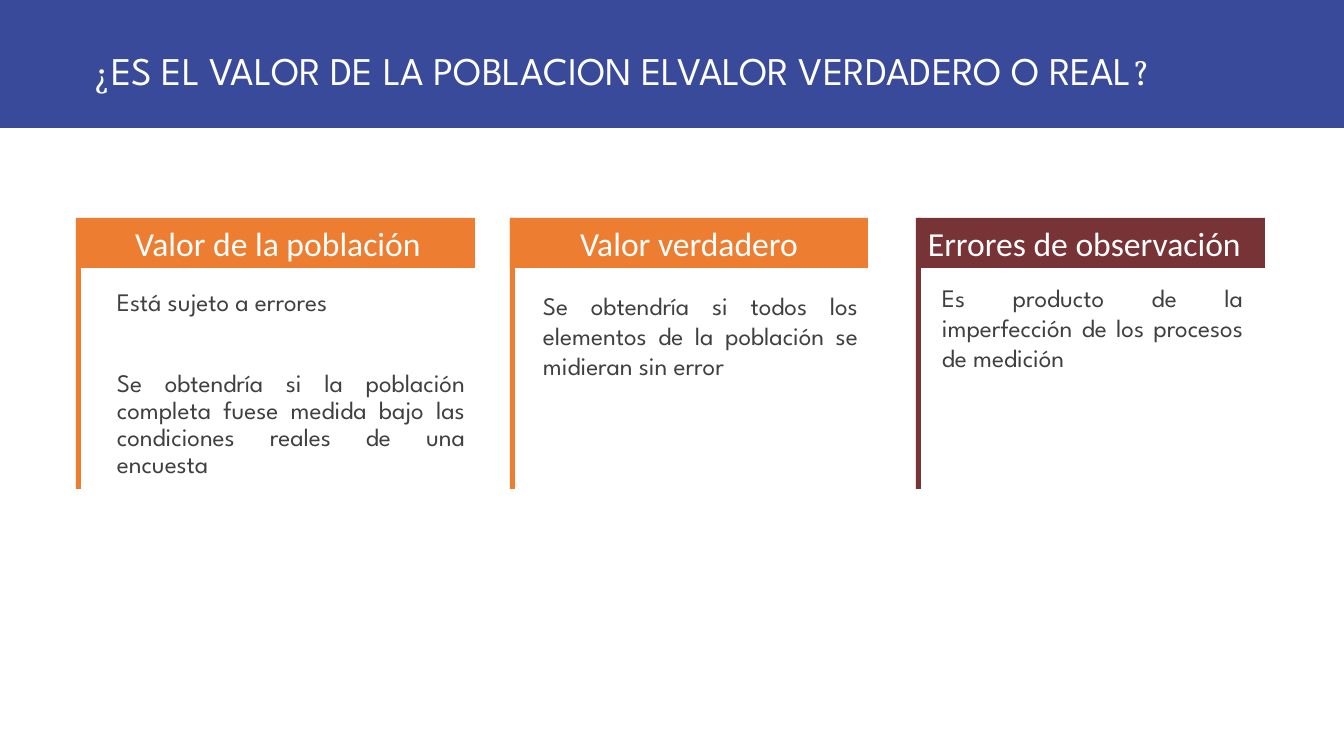
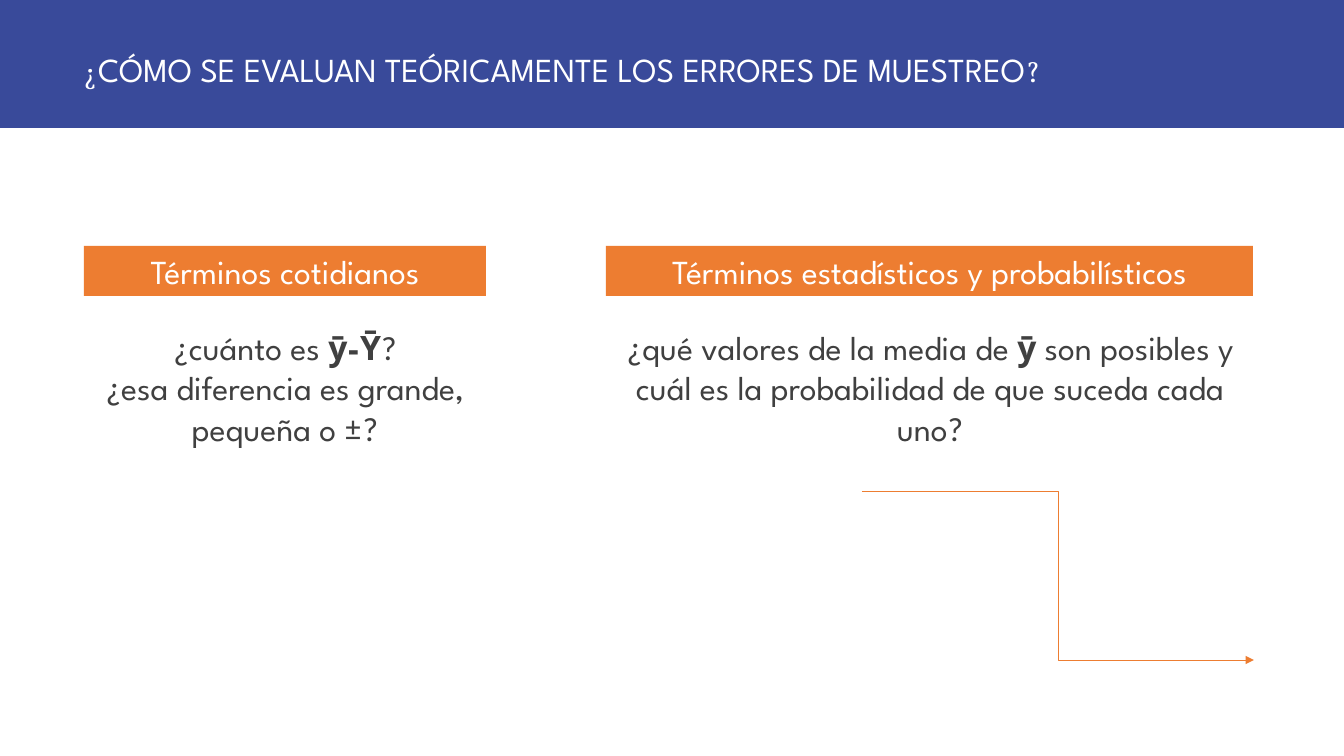
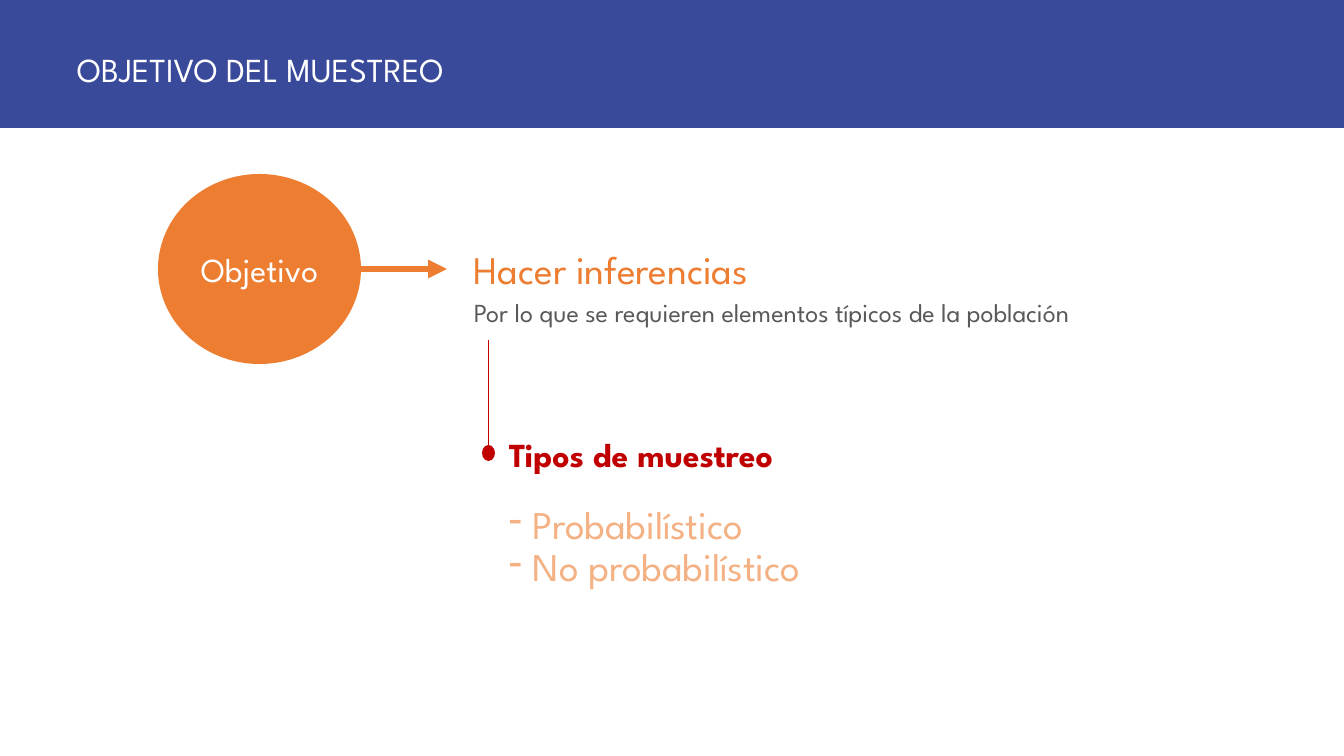
from lxml import etree
from pptx import Presentation
from pptx.dml.color import RGBColor
from pptx.enum.shapes import MSO_CONNECTOR, MSO_SHAPE
from pptx.enum.text import MSO_ANCHOR, MSO_AUTO_SIZE, PP_ALIGN
from pptx.oxml.ns import qn
from pptx.util import Emu, Pt

RECTANGLE, OVAL = MSO_SHAPE.RECTANGLE, MSO_SHAPE.OVAL
STRAIGHT, ELBOW = MSO_CONNECTOR.STRAIGHT, MSO_CONNECTOR.ELBOW
TOP, MIDDLE = MSO_ANCHOR.TOP, MSO_ANCHOR.MIDDLE
LEFT, CENTER, JUSTIFY = PP_ALIGN.LEFT, PP_ALIGN.CENTER, PP_ALIGN.JUSTIFY

BLUE = RGBColor(0x39, 0x4A, 0x9A)
ORANGE = RGBColor(0xED, 0x7D, 0x31)
PEACH = RGBColor(0xF4, 0xB1, 0x83)
MAROON = RGBColor(0x78, 0x33, 0x36)
RED = RGBColor(0xC0, 0x00, 0x00)
DARK_GRAY = RGBColor(0x40, 0x40, 0x40)
GRAY = RGBColor(0x59, 0x59, 0x59)
WHITE = RGBColor(0xFF, 0xFF, 0xFF)

SPARTAN, CALIBRI, VOLLKORN = "League Spartan", "Calibri", "Vollkorn"

SLIDE_WIDTH, SLIDE_HEIGHT, BAND_HEIGHT = 1344, 756, 128
HEADING_HEIGHT = 50

# A paragraph is a list of spans; a span is (text, format that differs).
POPULATION_TITLE = [
    ("¿", dict(font=VOLLKORN, size=24)),
    ("ES EL VALOR DE LA POBLACION ELVALOR VERDADERO O REAL", {}),
    ("?", dict(font=VOLLKORN, size=24)),
]
ERRORS_TITLE = [
    ("¿", dict(font=VOLLKORN, size=20)),
    ("CÓMO SE EVALUAN TEÓRICAMENTE LOS ERRORES DE MUESTREO", {}),
    ("?", dict(font=VOLLKORN, size=20)),
]
GOAL_TITLE = [("OBJETIVO DEL MUESTREO", {})]

VALUE_TOP, BAR_WIDTH, BAR_HEIGHT = 218, 5, 271
VALUE_COLUMNS = [
    dict(heading="Valor de la población", color=ORANGE, align=CENTER,
         bar_left=76, heading_left=81, heading_width=394,
         body_place=(107, 285, 368, 204), spacing=dict(line=0.9, before=38),
         body=["Está sujeto a errores",
               "Se obtendría si la población completa fuese medida bajo las "
               "condiciones reales de una encuesta"]),
    dict(heading="Valor verdadero", color=ORANGE, align=CENTER,
         bar_left=510, heading_left=510, heading_width=358,
         body_place=(533, 285, 335, 132), spacing={},
         body=["Se obtendría si todos los elementos de la población se "
               "midieran sin error"]),
    dict(heading="Errores de observación", color=MAROON, align=LEFT,
         bar_left=916, heading_left=918, heading_width=347,
         body_place=(932, 277, 321, 102), spacing={},
         body=["Es producto de la imperfección de los procesos de medición"]),
]

TERM_TOP, QUESTION_TOP, QUESTION_HEIGHT = 246, 322, 132
TERM_COLUMNS = [
    dict(heading="Términos cotidianos", heading_left=84, heading_width=402,
         body_left=84, body_width=402,
         body=[[("¿", dict(font=CALIBRI)), ("cuánto es ", {}),
                ("ӯ-Ῡ", dict(bold=True)), ("?", dict(font=CALIBRI))],
               [("¿", dict(font=CALIBRI)),
                ("esa diferencia es grande, pequeña o ±", {}),
                ("?", dict(font=CALIBRI))]]),
    dict(heading="Términos estadísticos y probabilísticos",
         heading_left=606, heading_width=647, body_left=594, body_width=672,
         body=[[("¿", dict(font=CALIBRI)), ("qué valores de la media de ", {}),
                ("ӯ", dict(bold=True)),
                (" son posibles y cuál es la probabilidad de que suceda cada "
                 "uno", {}),
                ("?", dict(font=CALIBRI))]]),
]

INFERENCE = [
    [("Hacer inferencias", dict(size=27.9, color=ORANGE))],
    [("Por lo que se requieren elementos típicos de la población", {})],
]
SAMPLING_HEADING = [("Tipos de muestreo", dict(size=24, color=RED, bold=True))]
SAMPLING_TYPES = ["Probabilístico", "No probabilístico"]


def px(length):
    return Emu(round(length * 914400 / 100.8))


def add_dash(para, indent):
    properties = para._p.get_or_add_pPr()
    properties.set("marL", str(px(indent)))
    properties.set("indent", str(-px(indent)))
    etree.SubElement(properties, qn("a:buChar")).set("char", "-")


def write(shape, paragraphs, size=24, font=SPARTAN, color=DARK_GRAY,
          align=LEFT, anchor=TOP, line=1.0, before=0, dash_from=None):
    """Fill a shape with text; paragraphs from dash_from on get a dash."""
    frame = shape.text_frame
    frame.word_wrap = True
    frame.auto_size = MSO_AUTO_SIZE.NONE
    frame.vertical_anchor = anchor
    for index, spans in enumerate(paragraphs):
        para = frame.add_paragraph() if index else frame.paragraphs[0]
        para.alignment = align
        para.line_spacing = line
        # Only the first dashed item is set apart from the text above it.
        apart = index and (dash_from is None or index == dash_from)
        para.space_before = Pt(before if apart else 0)
        if dash_from is not None and index >= dash_from:
            add_dash(para, 24)
        for text, changes in [(spans, {})] if isinstance(spans, str) else spans:
            span = para.add_run()
            span.text = text
            span.font.name = changes.get("font", font)
            span.font.size = Pt(changes.get("size", size))
            span.font.bold = changes.get("bold", False)
            span.font.color.rgb = changes.get("color", color)


def add_block(slide, kind, place, color):
    block = slide.shapes.add_shape(kind, *map(px, place))
    block.shadow.inherit = False
    block.fill.solid()
    block.fill.fore_color.rgb = color
    block.line.fill.background()
    return block


def add_text(slide, place, paragraphs, **style):
    box = slide.shapes.add_textbox(*map(px, place))
    write(box, paragraphs, **style)


def add_line(slide, kind, ends, color, width, arrow=False):
    connector = slide.shapes.add_connector(kind, *map(px, ends))
    connector.line.color.rgb = color
    connector.line.width = Pt(width)
    if arrow:
        outline = connector.line._get_or_add_ln()
        etree.SubElement(outline, qn("a:tailEnd")).set("type", "triangle")
    etree.SubElement(connector._element.spPr, qn("a:effectLst"))


def add_titled_slide(deck, title_spans, left, size):
    """Add a slide whose title is the blue band across its top."""
    slide = deck.slides.add_slide(deck.slide_layouts[5])
    title = slide.shapes.title
    title.left, title.top = px(0), px(0)
    title.width, title.height = px(SLIDE_WIDTH), px(BAND_HEIGHT)
    title.fill.solid()
    title.fill.fore_color.rgb = BLUE
    title.text_frame.margin_left = px(left)
    title.text_frame.margin_top = px(16)
    write(title, [title_spans], size=size, color=WHITE, anchor=MIDDLE)
    return slide


def build_population_slide(deck):
    slide = add_titled_slide(deck, POPULATION_TITLE, left=93, size=28)
    for column in VALUE_COLUMNS:
        heading = add_block(slide, RECTANGLE,
                            (column["heading_left"], VALUE_TOP,
                             column["heading_width"], HEADING_HEIGHT),
                            column["color"])
        write(heading, [column["heading"]], font=CALIBRI, color=WHITE,
              align=column["align"])
        add_block(slide, RECTANGLE,
                  (column["bar_left"], VALUE_TOP, BAR_WIDTH, BAR_HEIGHT),
                  column["color"])
        add_text(slide, column["body_place"], column["body"], size=18,
                 align=JUSTIFY, **column["spacing"])


def build_errors_slide(deck):
    slide = add_titled_slide(deck, ERRORS_TITLE, left=83, size=24)
    for column in TERM_COLUMNS:
        heading = add_block(slide, RECTANGLE,
                            (column["heading_left"], TERM_TOP,
                             column["heading_width"], HEADING_HEIGHT), ORANGE)
        write(heading, [column["heading"]], color=WHITE, align=CENTER)
        add_text(slide, (column["body_left"], QUESTION_TOP,
                         column["body_width"], QUESTION_HEIGHT),
                 column["body"], align=CENTER)
    add_line(slide, ELBOW, (862, 491, 1254, 660), ORANGE, 0.5, arrow=True)


def build_goal_slide(deck):
    slide = add_titled_slide(deck, GOAL_TITLE, left=77, size=24)
    goal = add_block(slide, OVAL, (158, 174, 203, 190), ORANGE)
    write(goal, ["Objetivo"], color=WHITE, align=CENTER, anchor=MIDDLE)
    add_line(slide, STRAIGHT, (361, 269, 447, 269), ORANGE, 4.5, arrow=True)
    add_text(slide, (464, 253, 788, 87), INFERENCE, size=18.6, color=GRAY,
             align=JUSTIFY, line=0.7, before=10)
    add_line(slide, STRAIGHT, (488, 340, 488, 453), RED, 0.5)
    add_block(slide, OVAL, (482, 445, 13, 16), RED)
    add_text(slide, (499, 419, 499, 191), [SAMPLING_HEADING, *SAMPLING_TYPES],
             size=28, color=PEACH, anchor=MIDDLE, line=0.9, before=22,
             dash_from=1)


def main():
    deck = Presentation()
    deck.slide_width, deck.slide_height = px(SLIDE_WIDTH), px(SLIDE_HEIGHT)
    build_population_slide(deck)
    build_errors_slide(deck)
    build_goal_slide(deck)
    deck.save("out.pptx")


if __name__ == "__main__":
    main()
